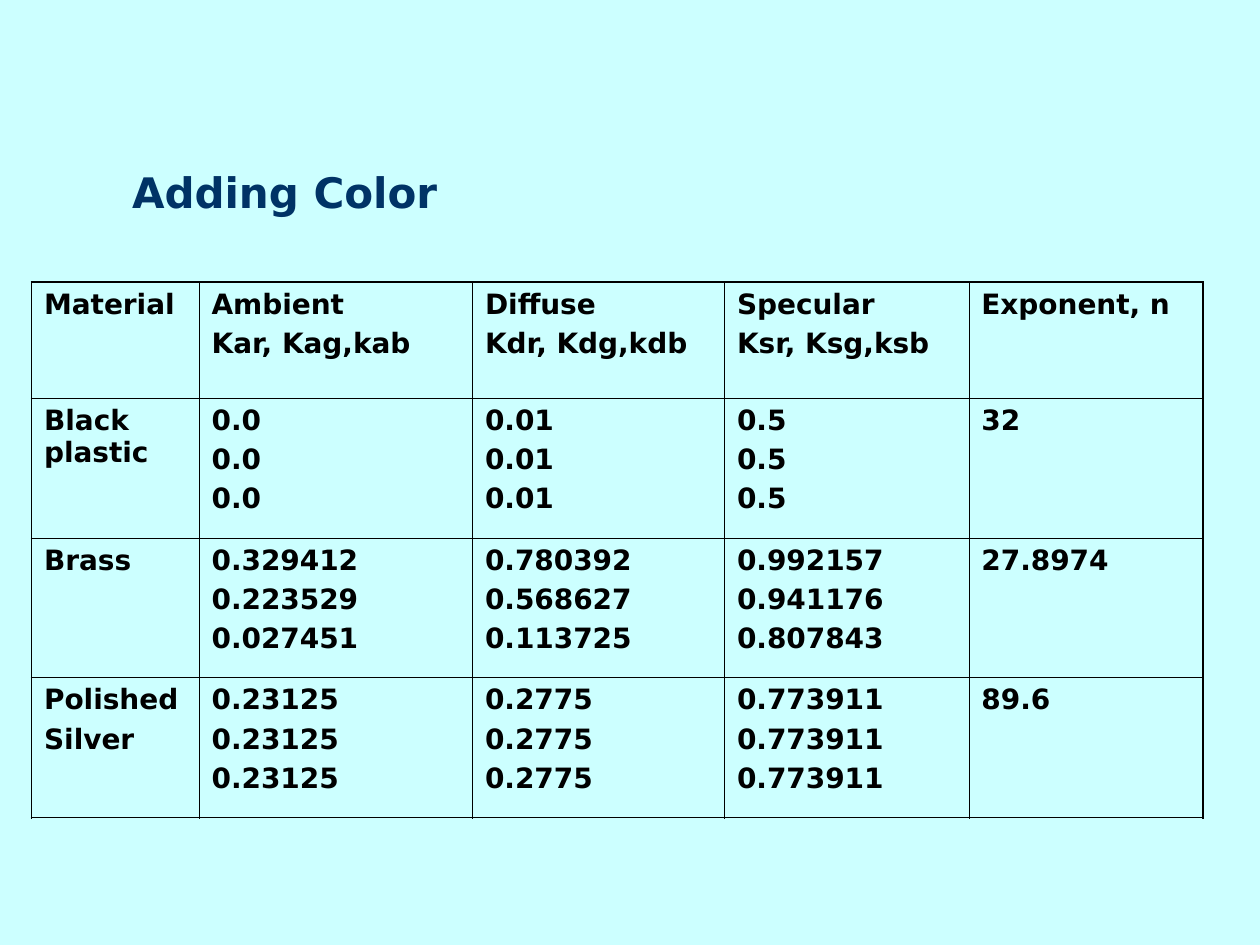
import pptx
import pptx.util
import pptx.dml.color
import pptx.enum.text
import lxml.etree
from pptx.util import Inches

INK = "000000"


def rgb(value):
    return pptx.dml.color.RGBColor.from_string(value)


def write(tf, text, size=16, color=INK, before=4):
    tf.word_wrap = True
    for i, line in enumerate(text.split("\n")):
        p = tf.paragraphs[0] if i == 0 else tf.add_paragraph()
        p.space_before = pptx.util.Pt(before)
        r = p.add_run()
        r.text = line
        r.font.name = "DejaVu Sans"
        r.font.size = pptx.util.Pt(size)
        r.font.bold = True
        r.font.color.rgb = rgb(color)


prs = pptx.Presentation()
prs.slide_width = Inches(10)
prs.slide_height = Inches(7.5)
s = prs.slides.add_slide(prs.slide_layouts[6])
s.background.fill.solid()
s.background.fill.fore_color.rgb = rgb("CCFFFF")

sp = s.shapes.add_textbox(Inches(0.95), Inches(1.27), Inches(8.93), Inches(0.5))
sp.text_frame.vertical_anchor = pptx.enum.text.MSO_ANCHOR.BOTTOM
write(sp.text_frame, "Adding Color", size=24, color="003366", before=0)

rows = [
    ["Material", "Ambient\nKar, Kag,kab", "Diffuse\nKdr, Kdg,kdb",
     "Specular\nKsr, Ksg,ksb", "Exponent, n"],
    ["Black plastic", "0.0\n0.0\n0.0", "0.01\n0.01\n0.01", "0.5\n0.5\n0.5", "32"],
    ["Brass", "0.329412\n0.223529\n0.027451", "0.780392\n0.568627\n0.113725",
     "0.992157\n0.941176\n0.807843", "27.8974"],
    ["Polished\nSilver", "0.23125\n0.23125\n0.23125", "0.2775\n0.2775\n0.2775",
     "0.773911\n0.773911\n0.773911", "89.6"],
]
widths = [1.33, 2.17, 2, 1.94, 1.86]
heights = [0.92, 1.11, 1.11, 1.11]
last_row, last_col = len(rows) - 1, len(widths) - 1

table = s.shapes.add_table(len(rows), len(widths), Inches(0.25), Inches(2.24),
                           Inches(sum(widths)), Inches(sum(heights))).table
table.first_row = False
table.horz_banding = False
for column, width in zip(table.columns, widths):
    column.width = Inches(width)
for row, height in zip(table.rows, heights):
    row.height = Inches(height)

for i, row in enumerate(rows):
    for j, text in enumerate(row):
        cell = table.cell(i, j)
        cell.margin_left = cell.margin_right = Inches(0.1)
        cell.margin_top = cell.margin_bottom = Inches(0.05)
        write(cell.text_frame, text)
        tcPr = cell._tc.get_or_add_tcPr()
        edges = {"L": j == 0, "R": j == last_col, "T": i == 0, "B": i == last_row}
        for side, outer in edges.items():
            width = pptx.util.Pt(1.08 if outer else 0.45)
            ln = lxml.etree.SubElement(tcPr, pptx.oxml.ns.qn(f"a:ln{side}"), w=str(width))
            fill = lxml.etree.SubElement(ln, pptx.oxml.ns.qn("a:solidFill"))
            lxml.etree.SubElement(fill, pptx.oxml.ns.qn("a:srgbClr"), val=INK)
        cell.fill.background()

prs.save("out.pptx")
